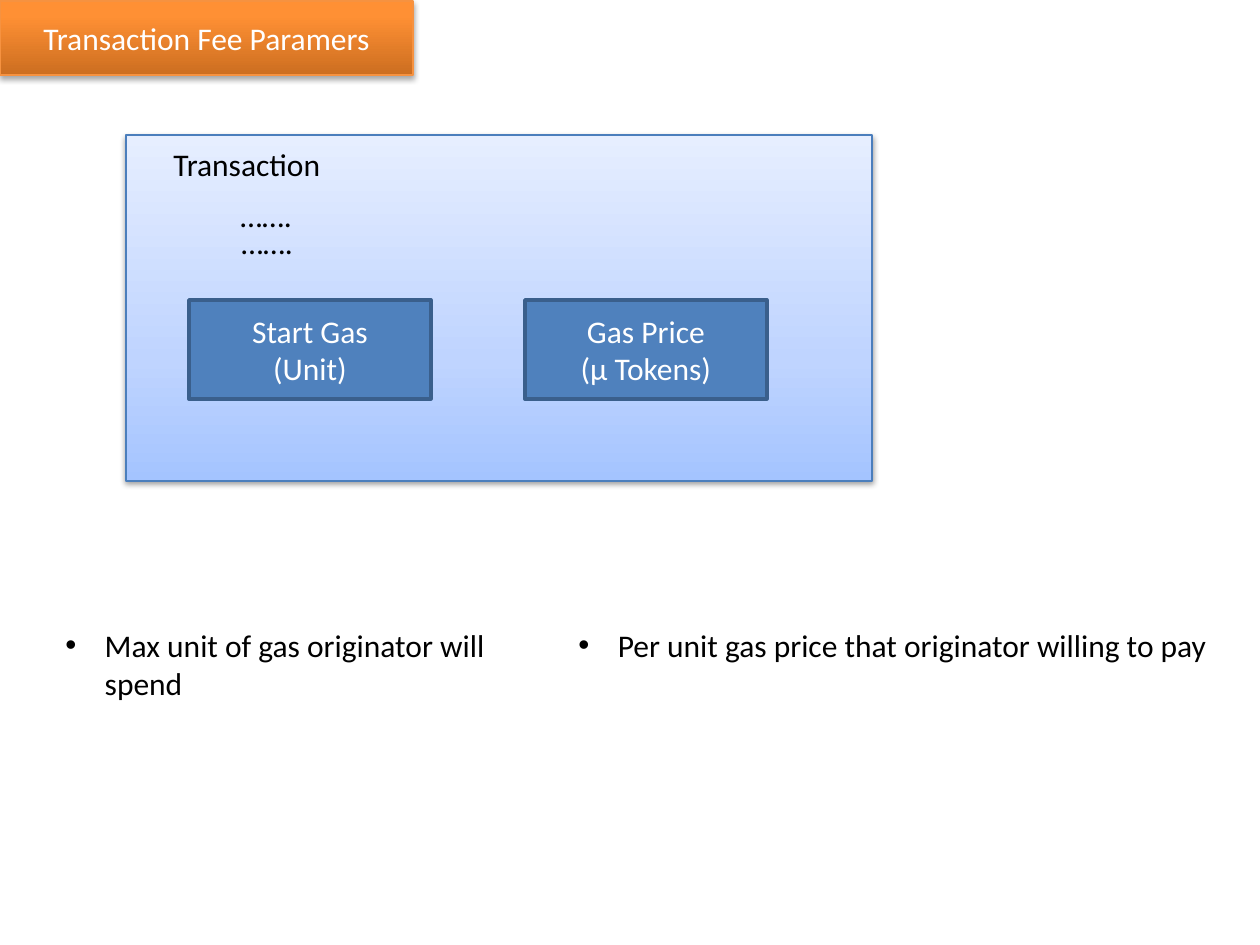
from lxml import etree
from pptx import Presentation, util as u
from pptx.dml.color import RGBColor
from pptx.enum import shapes, text
from pptx.oxml.ns import qn

SCALE = 914400 // 126
WHITE = RGBColor(0xFF, 0xFF, 0xFF)
BLACK = RGBColor(0, 0, 0)
BLUE = RGBColor(0x4F, 0x81, 0xBD)
NAVY = RGBColor(0x3A, 0x5F, 0x8C)
RIM = RGBColor(0x4B, 0x7E, 0xBC)
AMBER = RGBColor(0xF6, 0x92, 0x40)
ORANGES = [(0, RGBColor(0xCC, 0x6E, 0x20)), (80, RGBColor(0xFF, 0x90, 0x34)),
           (100, RGBColor(0xFF, 0x91, 0x36))]
BLUES = [(0, RGBColor(0xA4, 0xC4, 0xFF)), (35, RGBColor(0xBF, 0xD4, 0xFF)),
         (100, RGBColor(0xE6, 0xEE, 0xFF))]


def px(*vals):
    """Turn pixels into EMU."""
    return [u.Emu(v * SCALE) for v in vals]


def node(parent, tag, **attrs):
    """Add a DrawingML element and return it."""
    return etree.SubElement(parent, qn("a:" + tag),
                            {k: str(v) for k, v in attrs.items()})


def write(shape, words, color=BLACK, align=text.PP_ALIGN.LEFT,
          anchor=text.MSO_ANCHOR.TOP, bullet=False):
    """Fill a shape with text, one paragraph a line."""
    frame = shape.text_frame
    frame.word_wrap = True
    frame.vertical_anchor = anchor
    frame.text = words
    for para in frame.paragraphs:
        para.alignment = align
        font = para.runs[0].font
        font.name, font.size = "Calibri", u.Pt(18)
        font.color.rgb = color
        if bullet:
            props = para._p.get_or_add_pPr()
            props.set("marL", "285750")
            props.set("indent", "-285750")
            node(props, "buFont", typeface="Arial")
            node(props, "buChar", char="•")


def label(slide, box, words, **fmt):
    """Add a text box."""
    shape = slide.shapes.add_textbox(*px(*box))
    write(shape, words, **fmt)
    shape.text_frame.auto_size = text.MSO_AUTO_SIZE.SHAPE_TO_FIT_TEXT


def blend(fill, stops):
    """Set a gradient that runs from bottom to top."""
    fill.gradient()
    fill.gradient_angle = 90
    group = fill._xPr.find(qn("a:gradFill")).find(qn("a:gsLst"))
    for old in list(group):
        group.remove(old)
    for pos, color in stops:
        node(node(group, "gs", pos=pos * 1000), "srgbClr", val=color)


def shade(shape, alpha, dist):
    """Give a shape a soft shadow below it."""
    effects = shape._element.spPr.find(qn("a:effectLst"))
    outer = node(effects, "outerShdw", blurRad=40000, dist=dist,
                 dir=5400000, rotWithShape=0)
    node(node(outer, "srgbClr", val=BLACK), "alpha", val=alpha * 1000)


def panel(slide, box, line, width, words="", color=None, stops=None,
          shadow=None):
    """Add a rectangle with a plain or gradient fill."""
    shape = slide.shapes.add_shape(shapes.MSO_SHAPE.RECTANGLE, *px(*box))
    shape.shadow.inherit = False
    if stops:
        blend(shape.fill, stops)
    else:
        shape.fill.solid()
        shape.fill.fore_color.rgb = color
    shape.line.color.rgb = line
    shape.line.width = u.Pt(width)
    if shadow:
        shade(shape, *shadow)
    if words:
        write(shape, words, color=WHITE, align=text.PP_ALIGN.CENTER,
              anchor=text.MSO_ANCHOR.MIDDLE)


def main():
    """Build the slide and save it."""
    deck = Presentation()
    deck.slide_width, deck.slide_height = px(1260, 945)
    slide = deck.slides.add_slide(deck.slide_layouts[6])

    panel(slide, (0, 1, 413, 74), AMBER, 0.75, "Transaction Fee Paramers",
          stops=ORANGES, shadow=(35, 23000))
    panel(slide, (126, 135, 746, 346), RIM, 0.75, stops=BLUES,
          shadow=(38, 20000))
    for left, top, words in ((161, 139, "Transaction"),
                             (228, 190, "……."), (229, 217, "…….")):
        label(slide, (left, top, 256, 51), words)
    for left, words in ((189, "Start Gas\n(Unit)"),
                        (525, "Gas Price\n(µ Tokens)")):
        panel(slide, (left, 300, 242, 99), NAVY, 2, words, color=BLUE)
    for left, width, high, words in (
            (566, 663, 51, "Per unit gas price that originator willing to pay"),
            (53, 494, 89, "Max unit of gas originator will spend")):
        label(slide, (left, 620, width, high), words, bullet=True)

    deck.save("out.pptx")


main()
